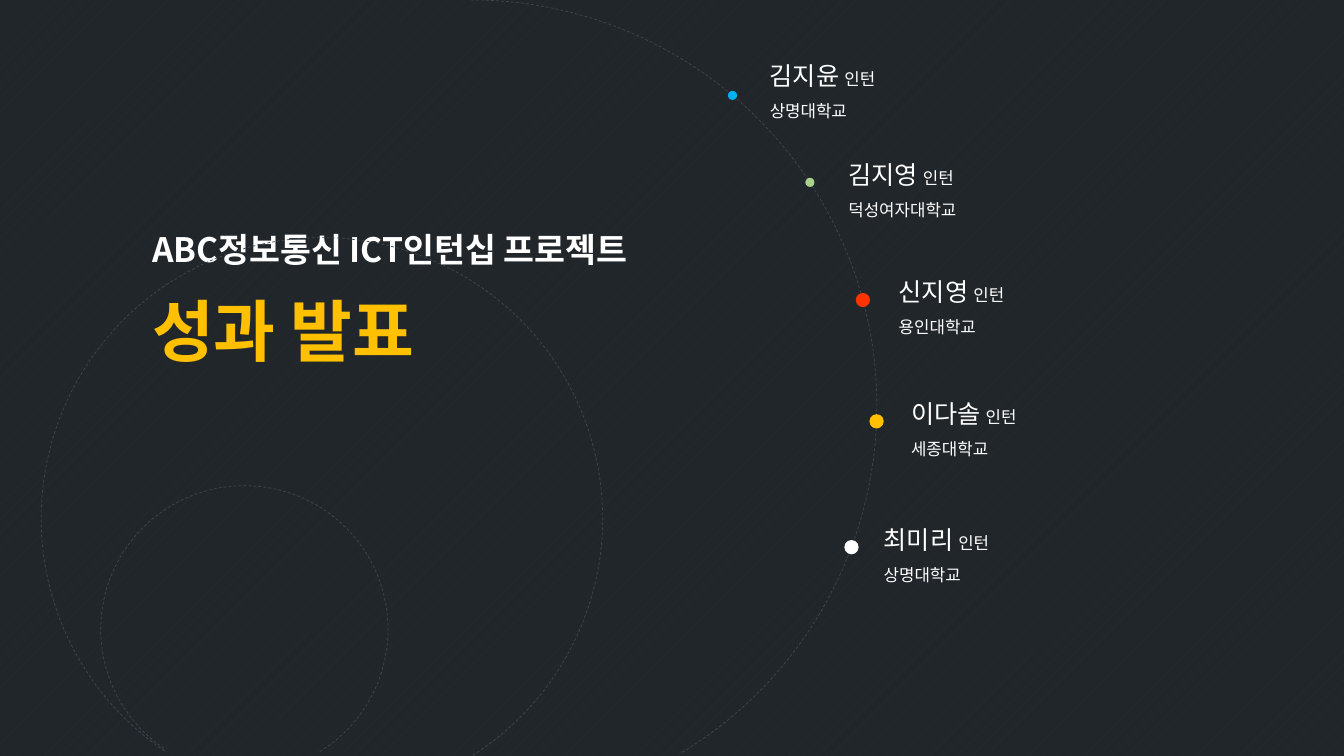
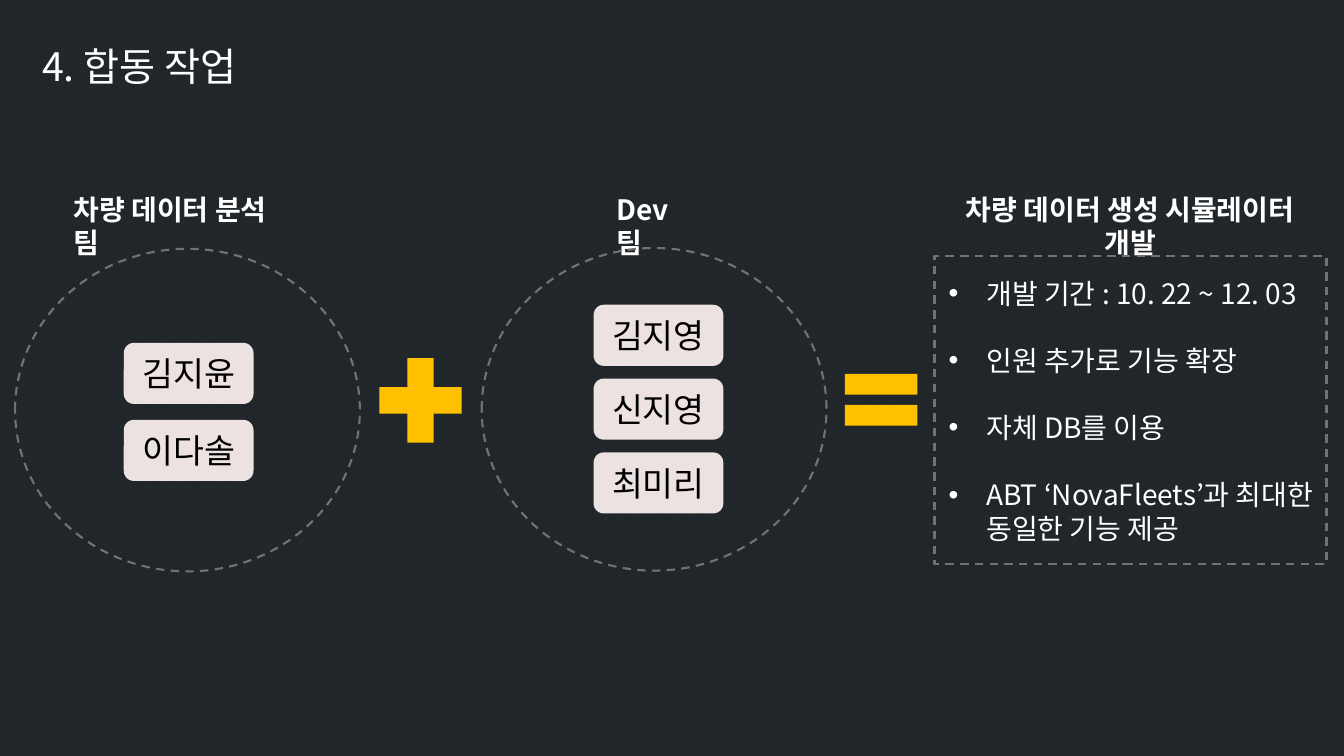
from dataclasses import dataclass
from math import cos, radians, sin

from lxml.etree import SubElement
from pptx import Presentation
from pptx.dml.color import RGBColor
from pptx.enum.dml import MSO_LINE, MSO_PATTERN
from pptx.enum.shapes import MSO_SHAPE as Preset
from pptx.enum.text import MSO_ANCHOR as Anchor, MSO_AUTO_SIZE as AutoSize, PP_ALIGN as Align
from pptx.oxml.ns import qn
from pptx.util import Cm, Pt


@dataclass(frozen=True)
class Theme:
    font: str = "Noto Sans CJK KR"
    back: str = "21262A"
    grain: str = "282F34"
    orbit: str = "3E4850"
    frame: str = "767171"
    card: str = "EBE2E1"
    accent: str = "FFC000"
    white: str = "FFFFFF"
    black: str = "000000"
    red: str = "FF3300"
    green: str = "A9D18E"
    blue: str = "00B0F0"
    cover_size: int = 48
    title_size: int = 28
    subtitle_size: int = 24
    card_size: int = 24
    body_size: int = 20
    name_size: int = 18
    gap_size: int = 16
    note_size: int = 12


THEME = Theme()

# Left, top, diameter and start angle; every arc ends at the same angle.
ARC_END = 35.32
BIG_ORBIT = (1.65, 0, 20.45, 162)
ORBITS = [(1.04, 5.99, 14.15, 74.44), BIG_ORBIT, (2.54, 12.24, 7.24, 74.44)]

# Name, school, angle on the big orbit, dot diameter, dot colour, label left and top.
INTERNS = [
    ("김지윤", "상명대학교", -49.9, 0.23, THEME.blue, 19.15, 1.02),
    ("김지영", "덕성여자대학교", -33.4, 0.23, THEME.green, 21.13, 3.51),
    ("신지영", "용인대학교", -15.1, 0.36, THEME.red, 22.4, 6.45),
    ("이다솔", "세종대학교", 2.2, 0.36, THEME.accent, 22.71, 9.53),
    ("최미리", "상명대학교", 20.4, 0.36, THEME.white, 22.02, 12.7),
]

GOALS = [
    "개발 기간 : 10. 22 ~ 12. 03",
    "인원 추가로 기능 확장",
    "자체 DB를 이용",
    "ABT ‘NovaFleets’과 최대한 동일한 기능 제공",
]


def rgb(code):
    return RGBColor.from_string(code)


def add_run(paragraph, text, size, color=THEME.white, bold=False):
    run = paragraph.add_run()
    run.text = text
    font = run.font
    font.size, font.bold, font.name = Pt(size), bold, THEME.font
    font.color.rgb = rgb(color)
    SubElement(font._element, qn("a:ea"), typeface=THEME.font)


def prepare_frame(holder, anchor=Anchor.TOP):
    frame = holder.text_frame
    frame.word_wrap = True
    frame.auto_size = AutoSize.NONE
    frame.vertical_anchor = anchor
    return frame


def format_paragraph(paragraph, align=Align.LEFT, spacing=1.0, before=0):
    paragraph.alignment = align
    paragraph.line_spacing = spacing
    paragraph.space_before = Pt(before)
    paragraph.space_after = Pt(0)
    return paragraph


def place(holder, left, top, width, height):
    holder.left, holder.top = Cm(left), Cm(top)
    holder.width, holder.height = Cm(width), Cm(height)
    return holder


def fill_placeholder(holder, box, text, size, color=THEME.white, bold=False):
    frame = prepare_frame(place(holder, *box))
    add_run(format_paragraph(frame.paragraphs[0]), text, size, color, bold)


def add_textbox(slide, left, top, width, height):
    return prepare_frame(slide.shapes.add_textbox(Cm(left), Cm(top), Cm(width), Cm(height)))


def add_preset(slide, preset, box, fill=None, line=None, weight=1.5):
    """Add a flat shape, filled or with a dashed outline."""
    shape = slide.shapes.add_shape(preset, *map(Cm, box))
    shape.shadow.inherit = False
    if fill:
        shape.fill.solid()
        shape.fill.fore_color.rgb = rgb(fill)
    else:
        shape.fill.background()
    if line:
        shape.line.color.rgb = rgb(line)
        shape.line.width = Pt(weight)
        shape.line.dash_style = MSO_LINE.DASH
    else:
        shape.line.fill.background()
    return shape


def add_orbit(slide, left, top, diameter, start):
    arc = add_preset(slide, Preset.ARC, (left, top, diameter, diameter),
                     line=THEME.orbit, weight=0.5)
    arc.adjustments[0], arc.adjustments[1] = start, ARC_END


def add_orbit_dot(slide, angle, diameter, color):
    """Centre a dot on the big orbit, with the angle clockwise from the right."""
    left, top, orbit_width, _ = BIG_ORBIT
    radius = orbit_width / 2
    x = left + radius + radius * cos(radians(angle)) - diameter / 2
    y = top + radius + radius * sin(radians(angle)) - diameter / 2
    add_preset(slide, Preset.OVAL, (x, y, diameter, diameter), fill=color)


def add_intern_label(slide, name, school, left, top):
    frame = add_textbox(slide, left, top, 8.1, 2.18)
    name_line = format_paragraph(frame.paragraphs[0], spacing=1.5)
    add_run(name_line, name, THEME.name_size)
    add_run(name_line, " ", THEME.gap_size, bold=True)
    add_run(name_line, "인턴", THEME.note_size)
    add_run(format_paragraph(frame.add_paragraph(), spacing=1.5), school, THEME.note_size)


def add_heading(slide, text, left, width, align=Align.LEFT):
    frame = add_textbox(slide, left, 4.72, width, 1.9)
    add_run(format_paragraph(frame.paragraphs[0], align), text, THEME.body_size, bold=True)


def add_name_cards(slide, names, left, top, pitch):
    for row, name in enumerate(names):
        card = add_preset(slide, Preset.ROUNDED_RECTANGLE,
                          (left, top + row * pitch, 3.27, 1.54), fill=THEME.card)
        frame = prepare_frame(card, Anchor.MIDDLE)
        add_run(format_paragraph(frame.paragraphs[0], Align.CENTER),
                name, THEME.card_size, THEME.black)


def fill_goals(holder):
    frame = prepare_frame(place(holder, 23.65, 6.83, 10.1, 7.4))
    for index, goal in enumerate(GOALS):
        paragraph = frame.add_paragraph() if index else frame.paragraphs[0]
        format_paragraph(paragraph, before=24 if index else 0)
        properties = paragraph._p.get_or_add_pPr()
        properties.set("marL", str(Cm(0.95)))
        properties.set("indent", str(-Cm(0.95)))
        SubElement(properties, qn("a:buChar"), char="•")
        add_run(paragraph, goal, THEME.body_size)


def set_background(master):
    fill = master.background.fill
    fill.patterned()
    fill.pattern = MSO_PATTERN.PERCENT_5
    fill.fore_color.rgb = rgb(THEME.grain)
    fill.back_color.rgb = rgb(THEME.back)


def build_cover(deck):
    slide = deck.slides.add_slide(deck.slide_layouts[0])
    for orbit in ORBITS:
        add_orbit(slide, *orbit)
    fill_placeholder(slide.placeholders[1], (3.58, 5.64, 15.19, 1.3),
                     "ABC정보통신 ICT인턴십 프로젝트", THEME.subtitle_size, bold=True)
    fill_placeholder(slide.shapes.title, (3.58, 7.16, 15.19, 2.3),
                     "성과 발표", THEME.cover_size, THEME.accent, bold=True)
    for name, school, angle, diameter, color, left, top in INTERNS:
        add_orbit_dot(slide, angle, diameter, color)
        add_intern_label(slide, name, school, left, top)


def build_teamwork(deck):
    slide = deck.slides.add_slide(deck.slide_layouts[1])
    fill_placeholder(slide.shapes.title, (0.81, 0.94, 19.91, 1.45),
                     "4. 합동 작업", THEME.title_size)

    add_heading(slide, "차량 데이터 분석 팀", 1.6, 5.7)
    add_heading(slide, "Dev 팀", 15.29, 2.3)
    add_heading(slide, "차량 데이터 생성 시뮬레이터 개발", 23.53, 9.9, Align.CENTER)

    for preset, box in [
        (Preset.OVAL, (0.38, 6.27, 8.69, 8.13)),
        (Preset.OVAL, (12.14, 6.25, 8.69, 8.13)),
        (Preset.RECTANGLE, (23.55, 6.45, 9.88, 7.77)),
    ]:
        add_preset(slide, preset, box, line=THEME.frame)
    add_preset(slide, Preset.MATH_PLUS, (9.19, 8.64, 2.82, 2.9), fill=THEME.accent)
    add_preset(slide, Preset.MATH_EQUAL, (20.96, 8.97, 2.49, 2.21), fill=THEME.accent)

    add_name_cards(slide, ["김지윤", "이다솔"], 3.12, 8.64, 1.94)
    add_name_cards(slide, ["김지영", "신지영", "최미리"], 14.96, 7.68, 1.86)
    fill_goals(slide.placeholders[1])


def main():
    deck = Presentation()
    deck.slide_width, deck.slide_height = Cm(33.87), Cm(19.05)
    set_background(deck.slide_master)
    build_cover(deck)
    build_teamwork(deck)
    deck.save("out.pptx")


if __name__ == "__main__":
    main()
